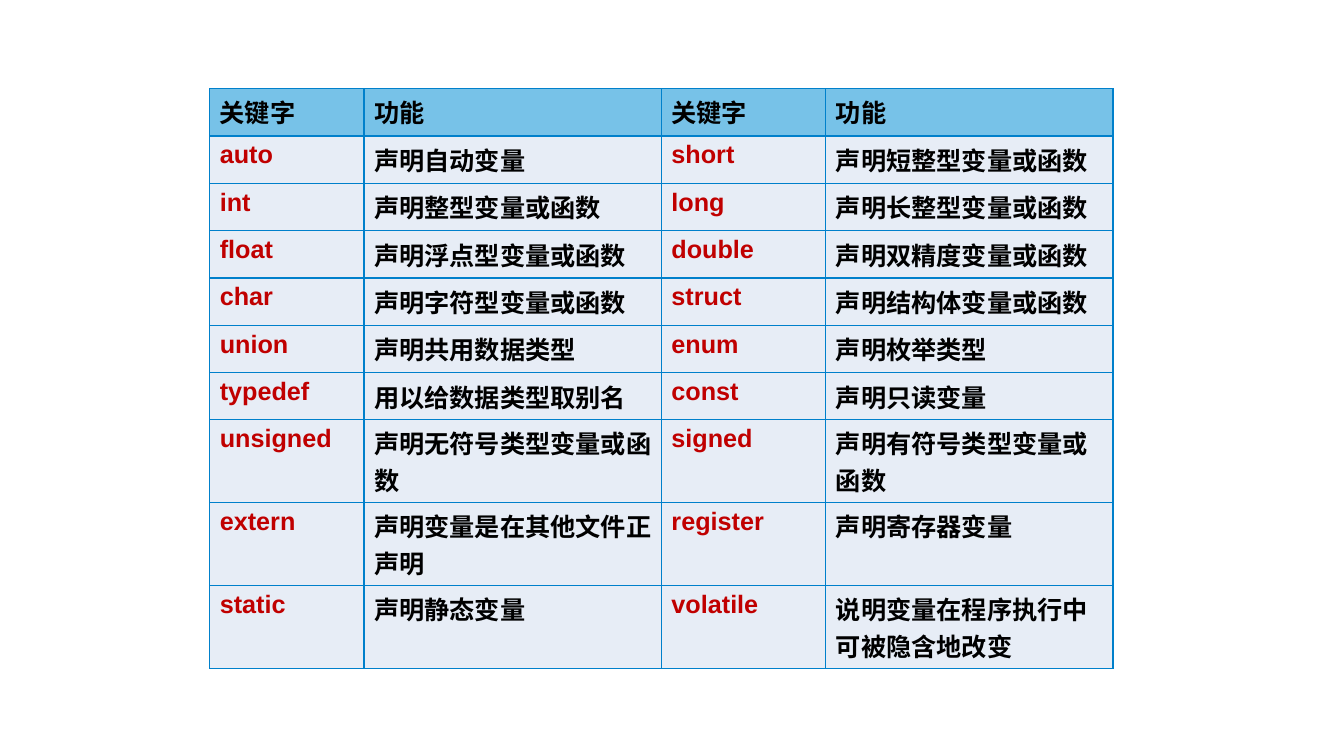
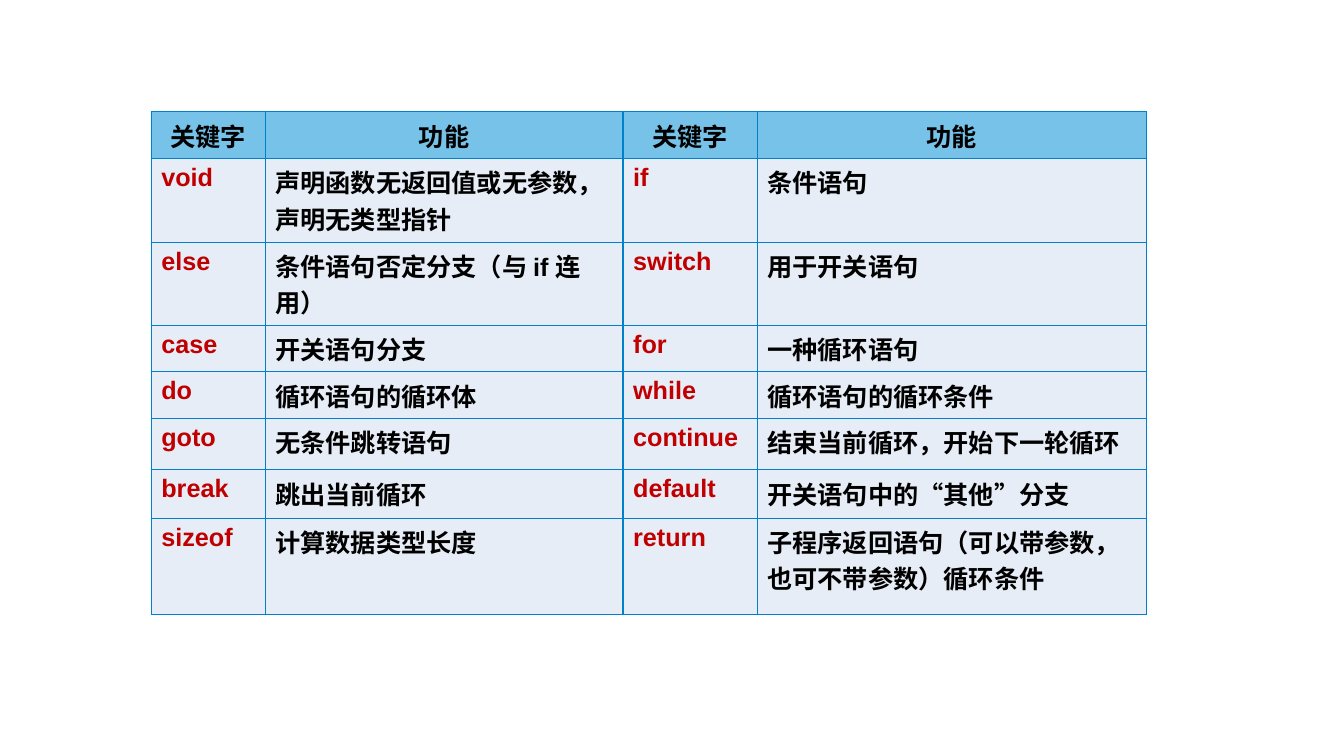
from dataclasses import dataclass

from lxml.etree import SubElement
from pptx import Presentation
from pptx.dml.color import RGBColor
from pptx.enum.lang import MSO_LANGUAGE_ID as Language
from pptx.enum.text import PP_ALIGN as Align
from pptx.oxml.ns import qn
from pptx.util import Inches, Pt

HEADINGS = ("关键字", "功能", "关键字", "功能")

TABLES = [
    {
        "origin": (2.08, 0.88),
        "columns": (1.53, 2.95, 1.63, 2.85),
        "heights": (0.47,) * 6 + (0.46,) + (0.8,) * 3,
        "heading_align": Align.LEFT,
        "rows": [
            ("auto", "声明自动变量", "short", "声明短整型变量或函数"),
            ("int", "声明整型变量或函数", "long", "声明长整型变量或函数"),
            ("float", "声明浮点型变量或函数", "double", "声明双精度变量或函数"),
            ("char", "声明字符型变量或函数", "struct", "声明结构体变量或函数"),
            ("union", "声明共用数据类型", "enum", "声明枚举类型"),
            ("typedef", "用以给数据类型取别名", "const", "声明只读变量"),
            ("unsigned", "声明无符号类型变量或函数", "signed", "声明有符号类型变量或函数"),
            ("extern", "声明变量是在其他文件正声明", "register", "声明寄存器变量"),
            ("static", "声明静态变量", "volatile", "说明变量在程序执行中可被隐含地改变"),
        ],
    },
    {
        "origin": (1.5, 1.11),
        "columns": (1.13, 3.55, 1.33, 3.86),
        "heights": (0.44, 0.83, 0.68, 0.4, 0.4, 0.51, 0.48, 0.96),
        "heading_align": Align.CENTER,
        "rows": [
            ("void", "声明函数无返回值或无参数，声明无类型指针", "if", "条件语句"),
            ("else", "条件语句否定分支（与 if 连用）", "switch", "用于开关语句"),
            ("case", "开关语句分支", "for", "一种循环语句"),
            ("do", "循环语句的循环体", "while", "循环语句的循环条件"),
            ("goto", "无条件跳转语句", "continue", "结束当前循环，开始下一轮循环"),
            ("break", "跳出当前循环", "default", "开关语句中的“其他”分支"),
            ("sizeof", "计算数据类型长度", "return", "子程序返回语句（可以带参数，也可不带参数）循环条件"),
        ],
    },
]


@dataclass(frozen=True)
class Theme:
    font: str = "Arial"
    size: int = 18
    text: str = "000000"
    keyword: str = "C00000"
    heading_fill: str = "77C2E8"
    body_fill: str = "E7EDF6"
    border: str = "0080CB"
    border_width: int = 1


THEME = Theme()


def add_borders(cell):
    properties = cell._tc.get_or_add_tcPr()
    for side in ("lnL", "lnR", "lnT", "lnB"):
        line = SubElement(properties, qn(f"a:{side}"), w=str(Pt(THEME.border_width)))
        fill = SubElement(line, qn("a:solidFill"))
        SubElement(fill, qn("a:srgbClr"), val=THEME.border)


def fill_cell(cell, text, fill, color, align):
    add_borders(cell)
    cell.fill.solid()
    cell.fill.fore_color.rgb = RGBColor.from_string(fill)
    paragraph = cell.text_frame.paragraphs[0]
    paragraph.alignment = align
    run = paragraph.add_run()
    run.text = text
    font = run.font
    font.name = THEME.font
    font.size = Pt(THEME.size)
    font.bold = True
    font.language_id = Language.SIMPLIFIED_CHINESE
    font.color.rgb = RGBColor.from_string(color)


def add_keyword_table(slide, content):
    rows = [HEADINGS, *content["rows"]]
    widths, heights = content["columns"], content["heights"]
    left, top = content["origin"]
    table = slide.shapes.add_table(
        len(rows), len(widths), Inches(left), Inches(top),
        Inches(sum(widths)), Inches(sum(heights)),
    ).table
    table.horz_banding = False
    for column, width in zip(table.columns, widths):
        column.width = Inches(width)
    for row, height in zip(table.rows, heights):
        row.height = Inches(height)
    for row_index, texts in enumerate(rows):
        for column_index, text in enumerate(texts):
            cell = table.cell(row_index, column_index)
            if row_index == 0:
                fill_cell(cell, text, THEME.heading_fill, THEME.text, content["heading_align"])
            else:
                color = THEME.text if column_index % 2 else THEME.keyword
                fill_cell(cell, text, THEME.body_fill, color, Align.LEFT)


def main():
    presentation = Presentation()
    presentation.slide_width = Inches(13.33)
    presentation.slide_height = Inches(7.5)
    blank_layout = presentation.slide_layouts[6]
    for content in TABLES:
        add_keyword_table(presentation.slides.add_slide(blank_layout), content)
    presentation.save("out.pptx")


if __name__ == "__main__":
    main()
